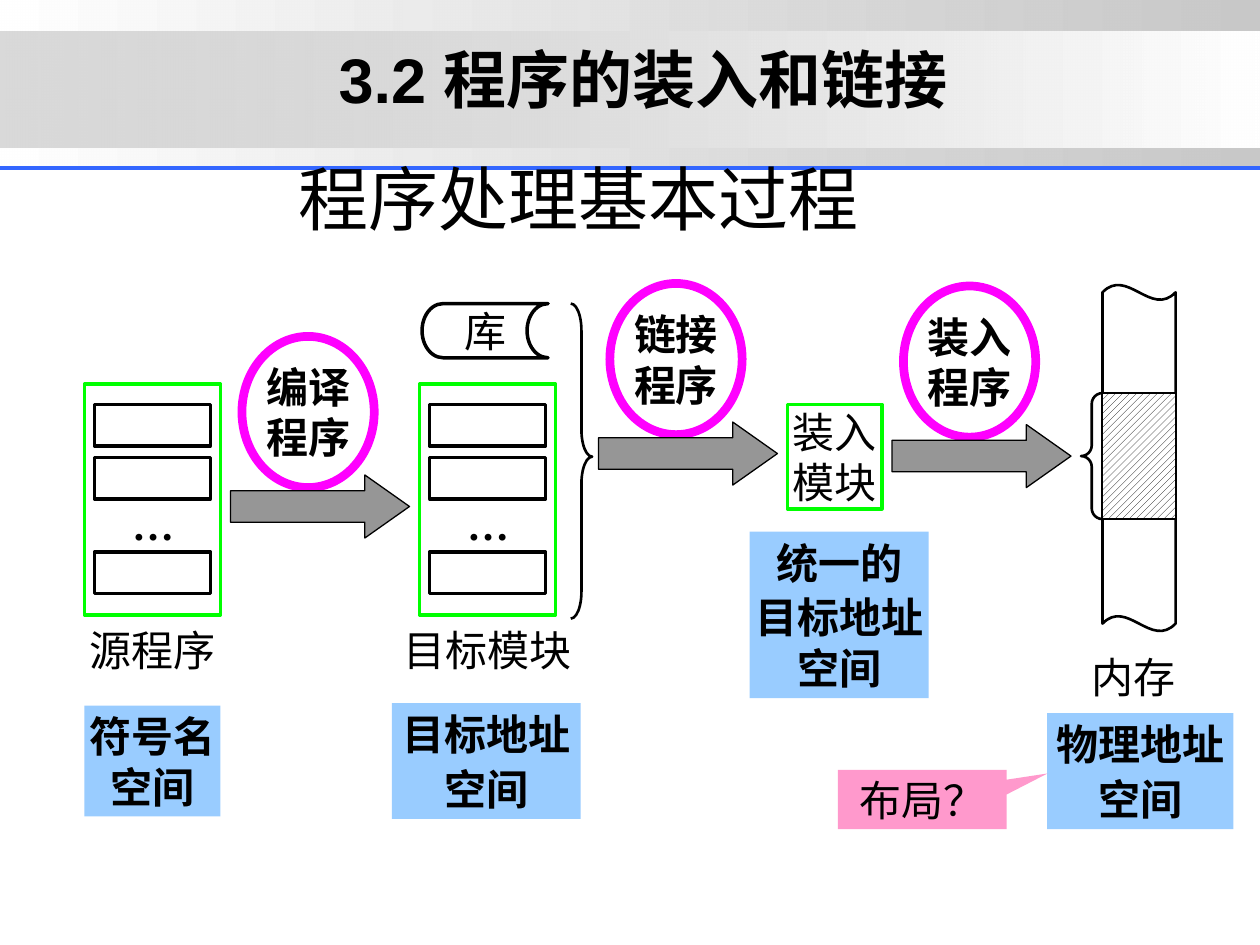
from dataclasses import dataclass

from lxml import etree
from pptx import Presentation
from pptx.dml.color import RGBColor
from pptx.enum.dml import MSO_PATTERN
from pptx.enum.shapes import MSO_CONNECTOR, MSO_SHAPE as SHAPE
from pptx.enum.text import MSO_ANCHOR as ANCHOR, MSO_AUTO_SIZE, PP_ALIGN as ALIGN
from pptx.oxml.ns import qn
from pptx.util import Inches, Pt


@dataclass(frozen=True)
class Theme:
    black: str = "000000"
    white: str = "FFFFFF"
    silver: str = "C0C0C0"
    rule: str = "3366FF"
    frame: str = "00FF00"
    program: str = "FF00FF"
    arrow: str = "969696"
    space: str = "99CCFF"
    callout: str = "FF99CC"
    heading_font: str = "Arial"
    body_font: str = "Times New Roman"
    section_size: int = 36
    title_size: int = 40
    body_size: int = 24


THEME = Theme()


def color(value):
    return RGBColor.from_string(value)


def write(shape, lines, size=THEME.body_size, font=THEME.body_font, bold=False,
          inset=(0, 0), wrap=True, space_before=0):
    """Write centred paragraphs; inset is (sides, top and bottom) in inches."""
    frame = shape.text_frame
    side, end = (Inches(value) for value in inset)
    frame_format = {"auto_size": MSO_AUTO_SIZE.NONE, "word_wrap": wrap,
                    "vertical_anchor": ANCHOR.MIDDLE, "margin_left": side,
                    "margin_right": side, "margin_top": end, "margin_bottom": end}
    for name, value in frame_format.items():
        setattr(frame, name, value)
    font_format = {"name": font, "size": Pt(size), "bold": bold}
    for index, line in enumerate(lines):
        paragraph = frame.add_paragraph() if index else frame.paragraphs[0]
        paragraph.alignment = ALIGN.CENTER
        paragraph.space_before = Pt(space_before if index else 0)
        run = paragraph.add_run()
        run.text = line
        for name, value in font_format.items():
            setattr(run.font, name, value)
        run.font.color.rgb = color(THEME.black)


def place(shapes, kind, box, fill=None, line=None, width=1, adjust=()):
    """Add a preset shape in box = (left, top, width, height) in inches."""
    shape = shapes.add_shape(kind, *map(Inches, box))
    shape.shadow.inherit = False
    if fill:
        shape.fill.solid()
        shape.fill.fore_color.rgb = color(fill)
    else:
        shape.fill.background()
    if line:
        shape.line.color.rgb = color(line)
        shape.line.width = Pt(width)
    else:
        shape.line.fill.background()
    for index, value in enumerate(adjust):
        shape.adjustments[index] = value
    return shape


def label(shapes, box, text, **text_format):
    write(shapes.add_textbox(*map(Inches, box)), [text], wrap=False, **text_format)


def fade(shape, stops):
    """Fill from left to right with stops of (colour, opacity percent)."""
    shape.fill.gradient()
    shape.fill.gradient_angle = 0
    for stop, (value, opacity) in zip(shape.fill.gradient_stops, stops):
        stop.color.rgb = color(value)
    for node, (value, opacity) in zip(shape._element.spPr.iter(qn("a:srgbClr")), stops):
        etree.SubElement(node, qn("a:alpha")).set("val", str(opacity * 1000))


def add_header(slide, box):
    left, top, width, height = box
    silver, white = THEME.silver, THEME.white
    band = place(slide.shapes, SHAPE.RECTANGLE, box)
    fade(band, [(white, 100), (silver, 86)])
    strip = place(slide.shapes, SHAPE.RECTANGLE, (left, top + 0.25, width, 0.92))
    fade(strip, [(silver, 59), (white, 100)])
    rule = slide.shapes.add_connector(
        MSO_CONNECTOR.STRAIGHT, Inches(left), Inches(top + height),
        Inches(left + width), Inches(top + height))
    rule.line.color.rgb = color(THEME.rule)
    rule.line.width = Pt(2.25)
    etree.SubElement(rule._element.spPr, qn("a:effectLst"))
    label(slide.shapes, (left + 1.02, top, 8.17, 1.25), "3.2 程序的装入和链接",
          size=THEME.section_size, font=THEME.heading_font, bold=True)


def add_title(slide, box):
    title = slide.shapes.title
    title.left, title.top, title.width, title.height = map(Inches, box)
    write(title, ["程序处理基本过程"], size=THEME.title_size,
          font=THEME.heading_font, inset=(0.02, 0.01))
    slide.shapes._spTree.append(title._element)  # in front of the header


def add_module_stack(slide, box, caption, caption_width):
    left, top, width, height = box
    shapes = slide.shapes.add_group_shape().shapes
    for offset in (0.16, 0.58, 1.33):
        place(shapes, SHAPE.RECTANGLE, (left + 0.08, top + offset, 0.92, 0.33),
              line=THEME.black, width=2)
    label(shapes, (left + 0.17, top + 0.91, 0.75, 0.4), "…", bold=True)
    place(shapes, SHAPE.RECTANGLE, box, line=THEME.frame, width=2)
    caption_left = left + (width - caption_width) / 2
    label(shapes, (caption_left, top + height + 0.08, caption_width, 0.4), caption)


def add_step(slide, box, text):
    """A program in an ellipse standing on a block arrow."""
    left, top, width, height = box
    shapes = slide.shapes.add_group_shape().shapes
    ellipse = place(shapes, SHAPE.OVAL, (left + 0.09, top, 1.05, 1.2),
                    line=THEME.program, width=5)
    write(ellipse, [text], bold=True)
    place(shapes, SHAPE.RIGHT_ARROW, (left, top + height - 0.5, width, 0.5),
          THEME.arrow, THEME.black, 0.75, (0.5, 0.708))


def add_memory(slide, box):
    left, top, width, height = box
    shapes = slide.shapes.add_group_shape().shapes
    label(shapes, (left - 0.13, top + height + 0.16, 0.75, 0.4), "内存")
    place(shapes, SHAPE.WAVE, box, line=THEME.black, width=1.5, adjust=(0.022, 0))
    used = place(shapes, SHAPE.RECTANGLE, (left, top + 0.86, width, 1), line=THEME.black)
    used.fill.patterned()
    used.fill.pattern = MSO_PATTERN.WIDE_UPWARD_DIAGONAL
    used.fill.fore_color.rgb = color(THEME.black)
    used.fill.back_color.rgb = color(THEME.white)
    place(shapes, SHAPE.LEFT_BRACE, (left - 0.17, top + 0.86, 0.17, 1),
          line=THEME.black, width=1.5, adjust=(0.5, 0.5))


def add_load_module(slide, box):
    module = place(slide.shapes, SHAPE.RECTANGLE, box, line=THEME.frame, width=2)
    write(module, ["装入模块"])


def add_library(slide, box):
    """The library, and the brace that joins it with the object modules."""
    left, top, width, height = box
    library = place(slide.shapes, SHAPE.FLOWCHART_STORED_DATA, (left, top, 1, 0.43),
                    line=THEME.black, width=2)
    write(library, ["库"])
    place(slide.shapes, SHAPE.RIGHT_BRACE, (left + width - 0.17, top, 0.17, height),
          line=THEME.black, width=1.5, adjust=(1.25, 0.486))


def add_address_space(slide, box, lines, side_inset=0.04):
    panel = place(slide.shapes, SHAPE.RECTANGLE, box, THEME.space)
    write(panel, lines, bold=True, inset=(side_inset, 0.04), space_before=2.4)


def add_callout(slide, box):
    callout = place(slide.shapes, SHAPE.RECTANGULAR_CALLOUT, box, THEME.callout,
                    adjust=(0.742, -0.438))
    write(callout, ["布局？"], inset=(0.02, 0.04))


def main():
    presentation = Presentation()
    presentation.slide_width, presentation.slide_height = Inches(10), Inches(7.5)
    slide = presentation.slides.add_slide(presentation.slide_layouts[5])

    # Header and title
    add_header(slide, (0, 0, 10, 1.33))
    add_title(slide, (0.55, 1.09, 8.08, 0.95))

    # Processing chain
    add_memory(slide, (8.75, 2.26, 0.58, 2.75))
    add_load_module(slide, (6.25, 3.21, 0.75, 0.83))
    for left, top, text in ((7.08, 2.27, "装入程序"), (4.75, 2.25, "链接程序"),
                            (1.83, 2.67, "编译程序")):
        add_step(slide, (left, top, 1.42, 1.6), text)
    add_module_stack(slide, (0.67, 3.05, 1.08, 1.83), "源程序", 1.08)
    add_library(slide, (3.35, 2.41, 1.35, 2.5))
    add_module_stack(slide, (3.33, 3.05, 1.08, 1.83), "目标模块", 1.33)

    # Address spaces
    add_address_space(slide, (0.67, 5.6, 1.08, 0.88), ["符号名空间"], side_inset=0)
    add_address_space(slide, (3.11, 5.58, 1.5, 0.92), ["目标地址", "空间"])
    add_address_space(slide, (5.95, 4.22, 1.42, 1.32), ["统一的", "目标地址空间"])
    add_address_space(slide, (8.31, 5.66, 1.48, 0.92), ["物理地址", "空间"])
    add_callout(slide, (6.65, 6.11, 1.34, 0.47))

    presentation.save("out.pptx")


if __name__ == "__main__":
    main()
